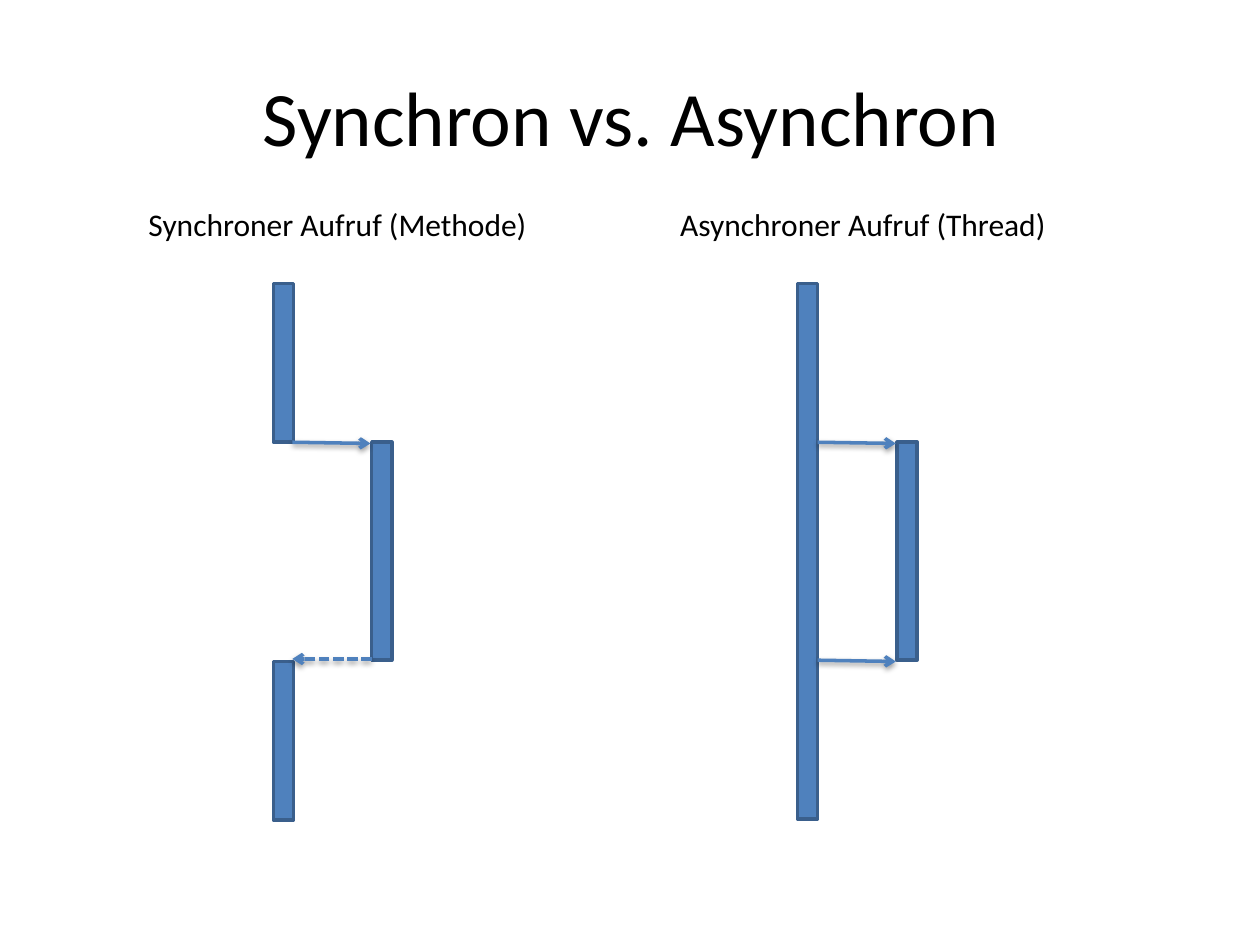
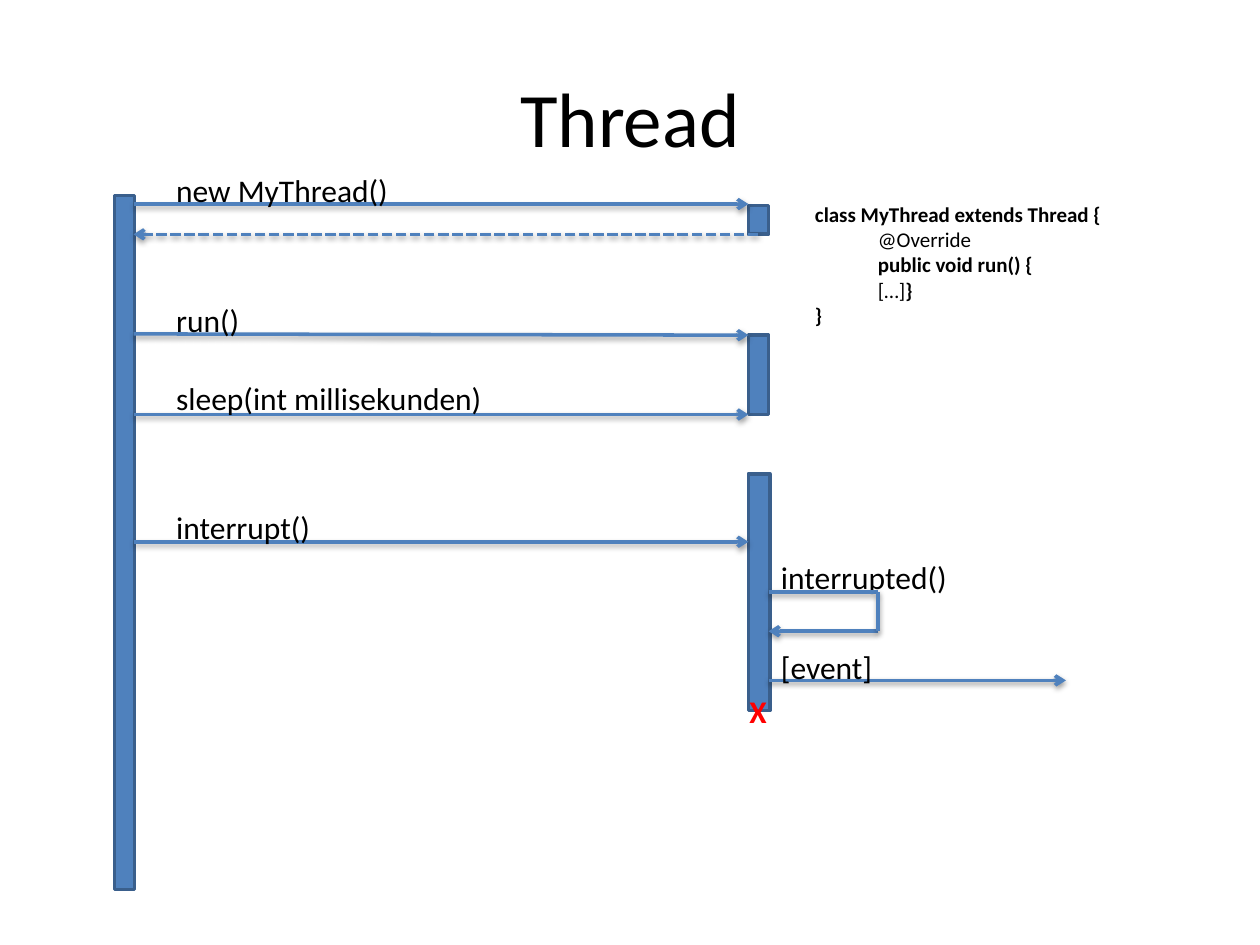
from lxml import etree
from pptx import Presentation
from pptx.dml.color import RGBColor
from pptx.enum import dml, shapes, text
from pptx.oxml import ns
from pptx.util import Inches, Pt

FONT = "Calibri"
BLACK = RGBColor(0x00, 0x00, 0x00)
RED = RGBColor(0xFF, 0x00, 0x00)
BLUE = RGBColor(0x4F, 0x81, 0xBD)
DARK_BLUE = RGBColor(0x3A, 0x5F, 0x8C)
BAR_WIDTH = 0.16
LINE_WIDTH = Pt(2)
TITLE_ONLY = 5


def add_run(paragraph, content, size, color=BLACK, bold=False):
    """Append one formatted run to a paragraph."""
    run = paragraph.add_run()
    run.text = content
    run.font.name = FONT
    run.font.size = Pt(size)
    run.font.bold = bold
    run.font.color.rgb = color


def add_titled_slide(presentation, title, left, top):
    """Add a slide with a centred title and return it."""
    slide = presentation.slides.add_slide(presentation.slide_layouts[TITLE_ONLY])
    shape = slide.shapes.title
    shape.left, shape.top = Inches(left), Inches(top)
    shape.width, shape.height = Inches(9), Inches(1.25)
    shape.text_frame.vertical_anchor = text.MSO_ANCHOR.MIDDLE
    paragraph = shape.text_frame.paragraphs[0]
    paragraph.alignment = text.PP_ALIGN.CENTER
    add_run(paragraph, title, 44)
    return slide


def add_frame(slide, left, top, width, height):
    """Add an unwrapped, self-sizing text box and return its text frame."""
    shape = slide.shapes.add_textbox(
        Inches(left), Inches(top), Inches(width), Inches(height))
    frame = shape.text_frame
    frame.word_wrap = False
    frame.auto_size = text.MSO_AUTO_SIZE.SHAPE_TO_FIT_TEXT
    return frame


def add_label(slide, content, left, top, width, color=BLACK, bold=False):
    """Add a one-line label."""
    frame = add_frame(slide, left, top, width, 0.4)
    add_run(frame.paragraphs[0], content, 18, color, bold)


def add_code(slide, left, top, width, height, lines):
    """Add a code listing from (level, [(content, bold), ...]) lines."""
    frame = add_frame(slide, left, top, width, height)
    for index, (level, runs) in enumerate(lines):
        paragraph = frame.add_paragraph() if index else frame.paragraphs[0]
        if level:
            paragraph.level = level
            properties = paragraph._p.get_or_add_pPr()
            properties.set("marL", str(Inches(0.5 * level)))
            properties.set("indent", "0")
        for content, bold in runs:
            add_run(paragraph, content, 12, bold=bold)


def add_bar(slide, left, top, height, width=BAR_WIDTH):
    """Add an activation bar of a lifeline."""
    shape = slide.shapes.add_shape(
        shapes.MSO_SHAPE.RECTANGLE,
        Inches(left), Inches(top), Inches(width), Inches(height))
    shape.shadow.inherit = False
    shape.fill.solid()
    shape.fill.fore_color.rgb = BLUE
    shape.line.color.rgb = DARK_BLUE
    shape.line.width = LINE_WIDTH


def add_shadow(connector):
    """Give a connector a soft shadow below it."""
    effects = etree.SubElement(connector._element.spPr, ns.qn("a:effectLst"))
    shadow = etree.SubElement(
        effects, ns.qn("a:outerShdw"), blurRad=str(Pt(3.1)), dist=str(Pt(1.6)),
        dir="5400000", rotWithShape="0")
    color = etree.SubElement(shadow, ns.qn("a:srgbClr"), val=str(BLACK))
    etree.SubElement(color, ns.qn("a:alpha"), val="38000")


def add_message(slide, start, end, dashed=False, arrow=True):
    """Draw a message line from start to end."""
    connector = slide.shapes.add_connector(
        shapes.MSO_CONNECTOR.STRAIGHT, *(Inches(value) for value in start + end))
    connector.line.color.rgb = BLUE
    connector.line.width = LINE_WIDTH
    if dashed:
        connector.line.dash_style = dml.MSO_LINE.SQUARE_DOT
        connector.line._ln.find(ns.qn("a:prstDash")).set("val", "sysDash")
    if arrow:
        etree.SubElement(connector.line._ln, ns.qn("a:tailEnd"), type="arrow")
    add_shadow(connector)


def build_comparison(presentation):
    """Build the slide that compares synchronous and asynchronous calls."""
    slide = add_titled_slide(presentation, "Synchron vs. Asynchron", 0.51, 0.29)
    call, back = 3.51, 5.24

    add_label(slide, "Synchroner Aufruf (Methode)", 1.08, 1.58, 3.24)
    for top in (2.25, 5.25):
        add_bar(slide, 2.17, top, 1.26)
    add_bar(slide, 2.95, call, back - call)
    add_message(slide, (2.32, call), (2.94, call + 0.01))
    add_message(slide, (2.95, 5.23), (2.32, 5.23), dashed=True)

    add_label(slide, "Asynchroner Aufruf (Thread)", 5.3, 1.58, 3.14)
    add_bar(slide, 6.33, 2.25, 4.25)
    add_bar(slide, 7.12, call, back - call)
    for y in (call, back):
        add_message(slide, (6.49, y), (7.11, y + 0.01))


def build_thread(presentation):
    """Build the sequence diagram of a thread's life."""
    slide = add_titled_slide(presentation, "Thread", 0.5, 0.3)
    caller, thread, thread_right, loop = 1.06, 5.94, 6.1, 6.97

    add_label(slide, "interrupted()", thread_right, 4.38, 1.53)
    add_bar(slide, 0.91, 1.55, 5.51)
    for top, height, width in ((1.63, 0.23, BAR_WIDTH), (2.66, 0.63, BAR_WIDTH),
                               (3.76, 1.88, 0.17)):
        add_bar(slide, thread, top, height, width)

    calls = (
        ("new MyThread()", 1.31, 1.9, 1.62, 1.62),
        ("run() ", 2.34, 0.77, 2.65, 2.66),
        ("sleep(int millisekunden)", 2.96, 2.66, 3.29, 3.29),
        ("interrupt()", 3.98, 1.28, 4.3, 4.3),
    )
    for content, top, width, start, end in calls:
        add_message(slide, (caller, start), (thread, end))
        add_label(slide, content, 1.3, top, width)
    add_message(slide, (6.02, 1.86), (caller, 1.86), dashed=True)

    add_code(slide, 6.37, 1.55, 2.5, 1.11, (
        (0, [("class MyThread extends Thread {", True)]),
        (1, [("@Override", False)]),
        (1, [("public void run() {", True)]),
        (1, [("[…]", False), ("}", True)]),
        (0, [("}", True)]),
    ))

    add_message(slide, (loop, 5.01), (thread_right, 5.01))
    add_message(slide, (thread_right, 4.7), (loop, 4.7), arrow=False)
    add_message(slide, (loop, 4.7), (loop, 5.01), arrow=False)
    add_message(slide, (thread_right, 5.4), (8.46, 5.4))
    add_label(slide, "[event]", thread_right, 5.09, 0.93)
    add_label(slide, "X", 5.85, 5.44, 0.34, RED, bold=True)


def main():
    """Build the presentation and save it."""
    presentation = Presentation()
    presentation.slide_width = Inches(10)
    presentation.slide_height = Inches(7.5)
    build_comparison(presentation)
    build_thread(presentation)
    presentation.save("out.pptx")


main()
